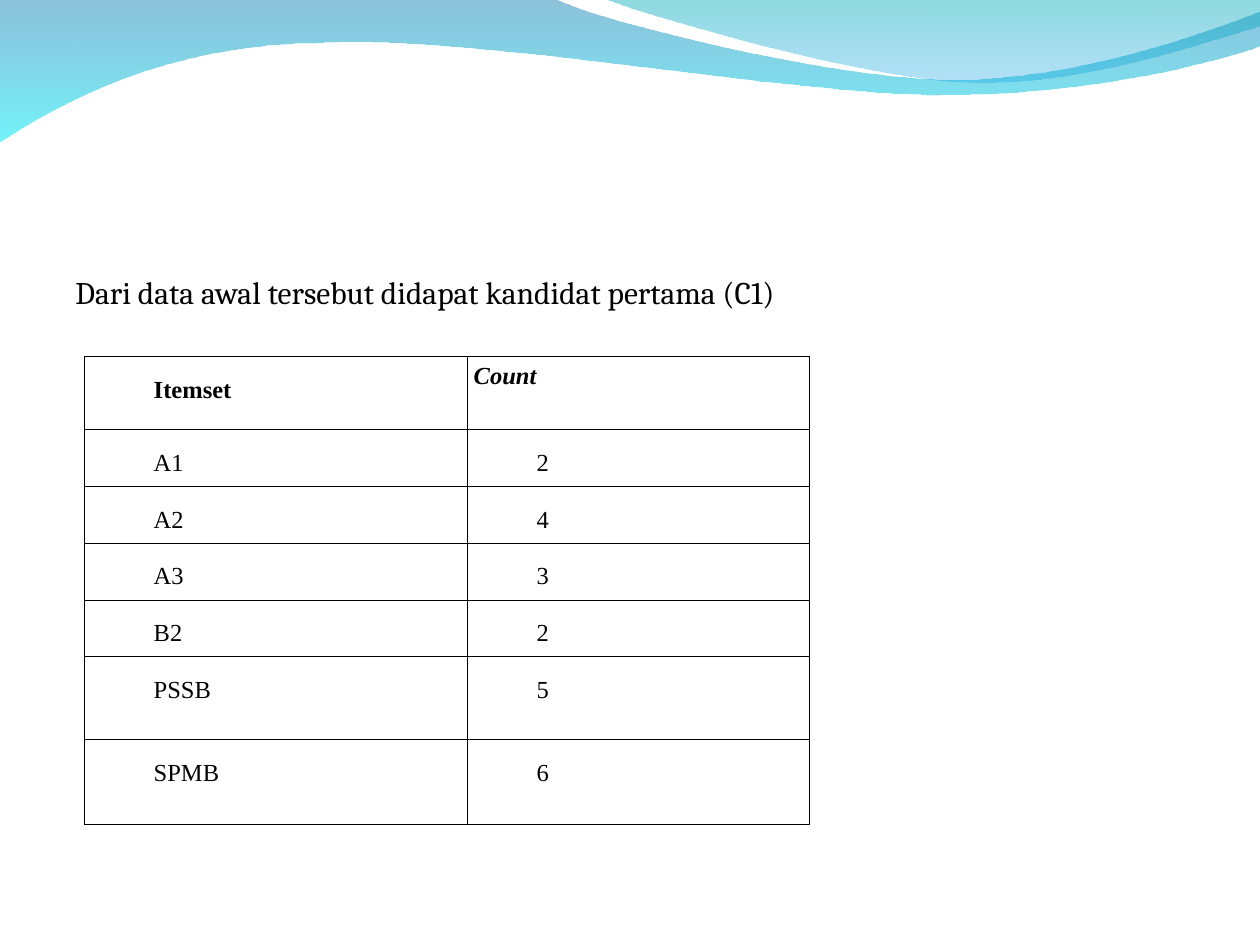
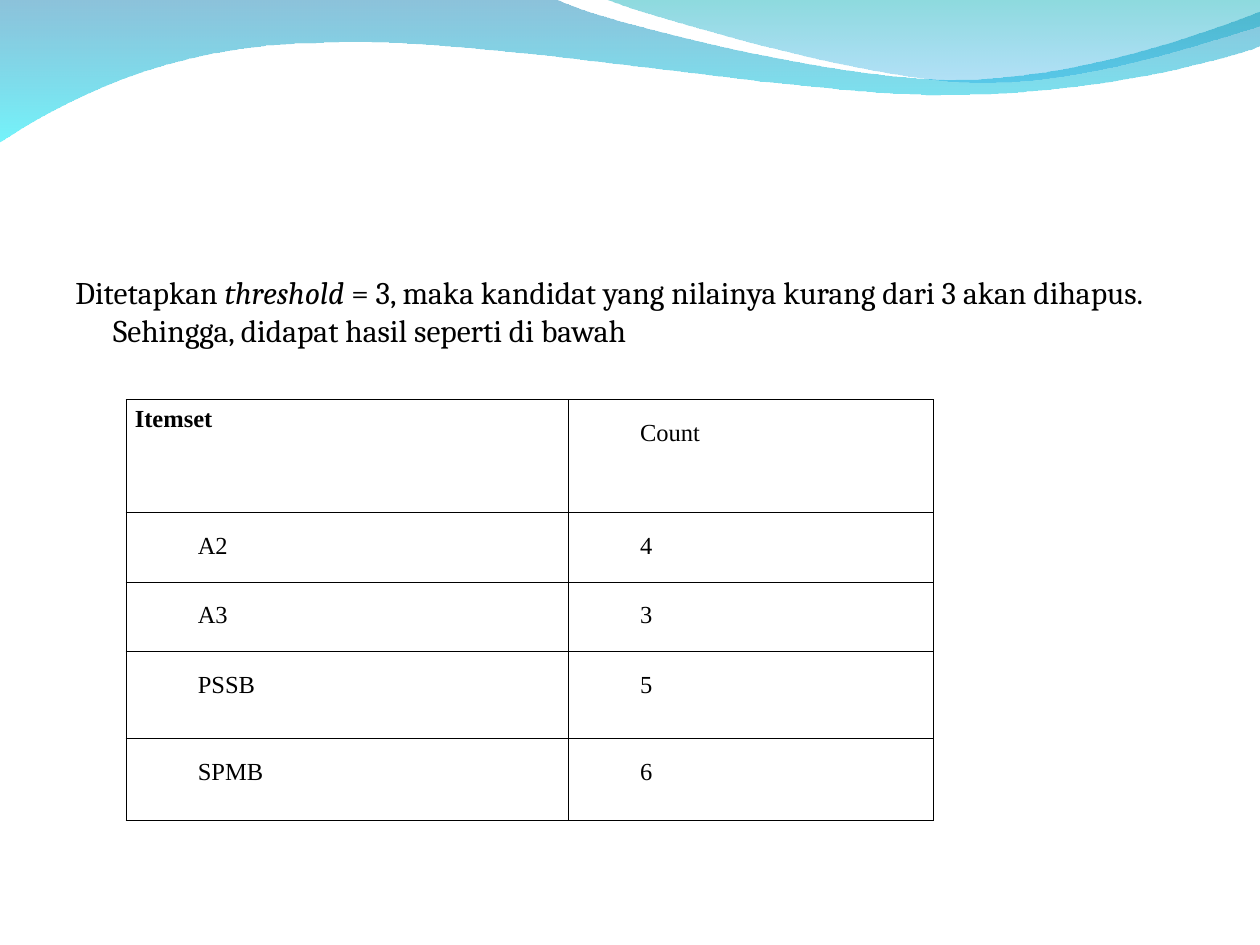
from lxml.etree import SubElement
from pptx import Presentation
from pptx.dml.color import RGBColor
from pptx.enum.text import PP_ALIGN
from pptx.oxml.ns import qn
from pptx.util import Inches, Pt

BLACK = "000000"
BODY_FONT, TABLE_FONT = "Cambria", "Times New Roman"
BORDERS = ("a:lnL", "a:lnR", "a:lnT", "a:lnB")

BACK_WAVE = dict(
    start=(0, -0.01),
    segments=[
        [(4.4, -0.01)],
        [(4.76, 0.17), (6.64, 0.63), (7.58, 0.63)],
        [(8.53, 0.63), (9.58, 0.26), (10, 0.09)],
        [(10.01, 0.36)],
        [(9.83, 0.44), (8.7, 0.76), (7.46, 0.75)],
        [(6.22, 0.75), (3.82, 0.28), (2.57, 0.34)],
        [(1.29, 0.35), (0.46, 0.83), (-0.01, 1.13)],
    ],
    stops=[("0079AF", 45), ("00EBF8", 55)],
)
FRONT_WAVE = dict(
    start=(4.79, -0.01),
    segments=[
        [(5.09, 0.11), (6.82, 0.62), (7.69, 0.65)],
        [(8.56, 0.69), (9.61, 0.32), (10, 0.21)],
        [(10, 0)],
    ],
    stops=[("00ADB6", 45), ("009BE5", 30)],
)


def rgb(value):
    """Turn a hex string into a colour."""
    return RGBColor.from_string(value)


def set_font(font, name, size, bold=False, italic=False):
    """Give a font its face, size and style in black."""
    font.name, font.size = name, Pt(size)
    font.bold, font.italic = bold, italic
    font.color.rgb = rgb(BLACK)


def set_indent(p, left, first=0):
    """Set the left margin and first-line indent of a paragraph."""
    pPr = p._p.get_or_add_pPr()
    pPr.set("marL", str(Inches(left)))
    pPr.set("indent", str(Inches(first)))


def bend_segments(sp, segments):
    """Turn each run of three outline points into one cubic curve."""
    lines = iter(list(sp._element.spPr.iter(qn("a:lnTo"))))
    for segment in segments:
        first, *rest = [next(lines) for _ in segment]
        if rest:
            first.tag = qn("a:cubicBezTo")
            for line in rest:
                first.append(line[0])
                line.getparent().remove(line)


def add_wave(slide, start, segments, stops):
    """Draw one translucent wave with a top-to-bottom gradient."""
    points = [tuple(map(Inches, point)) for segment in segments for point in segment]
    builder = slide.shapes.build_freeform(*map(Inches, start))
    builder.add_line_segments(points, close=True)
    sp = builder.convert_to_shape()
    bend_segments(sp, segments)
    sp.shadow.inherit = False
    sp.line.fill.background()
    sp.fill.gradient()
    sp.fill.gradient_angle = 270
    for i, (stop, (color, opacity)) in enumerate(zip(sp.fill.gradient_stops, stops)):
        stop.position = i
        stop.color.rgb = rgb(color)
    colors = list(sp._element.spPr.iter(qn("a:srgbClr")))
    for clr, (color, opacity) in zip(colors, stops):
        SubElement(clr, qn("a:alpha")).set("val", str(opacity * 1000))


def add_statement(slide, left, top, width, height, runs):
    """Add the hanging-indent sentence; runs are (text, italic) pairs."""
    box = slide.shapes.add_textbox(*map(Inches, (left, top, width, height)))
    tf = box.text_frame
    tf.word_wrap = True
    p = tf.paragraphs[0]
    set_indent(p, 0.3, -0.3)
    p.space_before = Pt(4.5)
    for text, italic in runs:
        r = p.add_run()
        r.text = text
        set_font(r.font, BODY_FONT, 18, italic=italic)


def add_borders(cell):
    """Outline a cell with thin black lines."""
    tcPr = cell._tc.get_or_add_tcPr()
    for i, tag in enumerate(BORDERS):
        ln = tcPr.makeelement(qn(tag), {"w": str(Pt(0.45))})
        SubElement(SubElement(ln, qn("a:solidFill")), qn("a:srgbClr")).set("val", BLACK)
        tcPr.insert(i, ln)


def fill_cell(cell, side_margin, text, indented=True, bold=False, italic=False):
    """Write one table cell, indented with wide leading or flush left."""
    cell.margin_left = cell.margin_right = Inches(side_margin)
    cell.margin_top = cell.margin_bottom = Inches(0.05)
    cell.fill.background()
    add_borders(cell)
    cell.text = text
    p = cell.text_frame.paragraphs[0]
    p.alignment = PP_ALIGN.JUSTIFY
    if indented:
        set_indent(p, 0.5)
        p.line_spacing = 1.5
    set_font(p.runs[0].font, TABLE_FONT, 14, bold, italic)


def add_count_table(slide, left, top, widths, heights, side_margin, header, counts):
    """Add the itemset table; header holds fill_cell options per column."""
    rows = [header] + [[dict(text=item), dict(text=str(n))] for item, n in counts]
    frame = slide.shapes.add_table(
        len(rows), len(widths), Inches(left), Inches(top),
        Inches(sum(widths)), Inches(sum(heights)))
    table = frame.table
    table.first_row = table.horz_banding = False
    for column, width in zip(table.columns, widths):
        column.width = Inches(width)
    for row, height, cells in zip(table.rows, heights, rows):
        row.height = Inches(height)
        for cell, options in zip(row.cells, cells):
            fill_cell(cell, side_margin, **options)


def add_itemset_slide(prs, runs, text_height, **table):
    """Add a slide with the waves, a sentence and its table."""
    slide = prs.slides.add_slide(prs.slide_layouts[6])
    add_wave(slide, **BACK_WAVE)
    add_wave(slide, **FRONT_WAVE)
    add_statement(slide, 0.5, 2.12, 9, text_height, runs)
    add_count_table(slide, **table)


def main():
    """Build both slides and save them."""
    prs = Presentation()
    prs.slide_width, prs.slide_height = Inches(10), Inches(7.5)
    add_itemset_slide(
        prs,
        [("Dari data awal tersebut didapat kandidat pertama (C1)", False)],
        0.47,
        left=0.67, top=2.83, side_margin=0.05,
        widths=[3.04, 2.71],
        heights=[0.58, 0.45, 0.44, 0.45, 0.45, 0.66, 0.67],
        header=[dict(text="Itemset", bold=True),
                dict(text="Count", indented=False, bold=True, italic=True)],
        counts=[("A1", 2), ("A2", 4), ("A3", 3), ("B2", 2), ("PSSB", 5), ("SPMB", 6)],
    )
    add_itemset_slide(
        prs,
        [("Ditetapkan ", False), ("threshold ", True),
         ("= 3, maka kandidat yang nilainya kurang dari 3 akan dihapus. "
          "Sehingga, didapat hasil seperti di bawah", False)],
        0.8,
        left=1, top=3.17, side_margin=0.07,
        widths=[3.51, 2.9],
        heights=[0.9, 0.55, 0.55, 0.69, 0.65],
        header=[dict(text="Itemset", indented=False, bold=True), dict(text="Count")],
        counts=[("A2", 4), ("A3", 3), ("PSSB", 5), ("SPMB", 6)],
    )
    prs.save("out.pptx")


if __name__ == "__main__":
    main()
